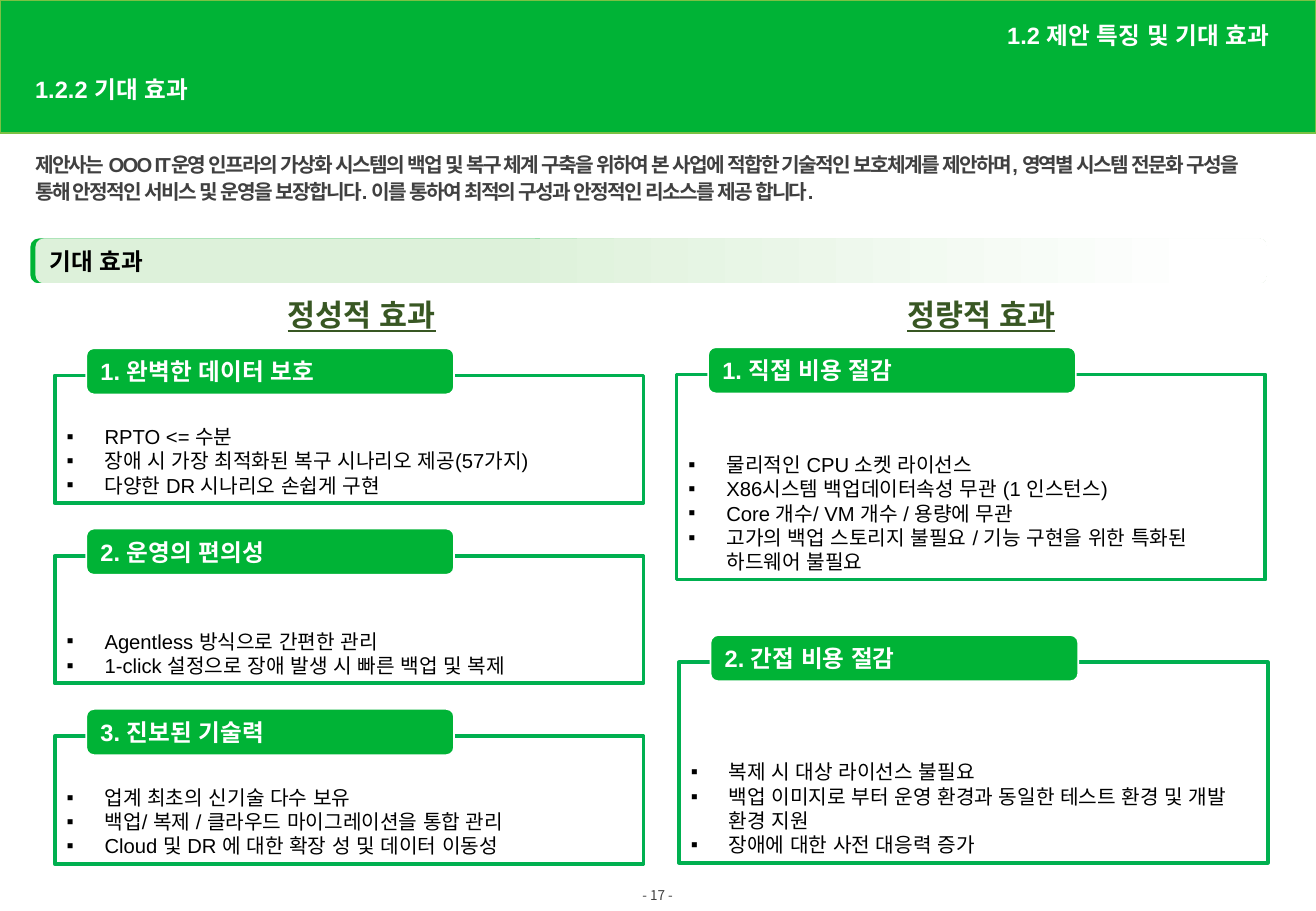
from lxml.etree import SubElement
from pptx import Presentation
from pptx.dml.color import RGBColor
from pptx.enum.shapes import MSO_SHAPE
from pptx.enum.text import MSO_ANCHOR, MSO_AUTO_SIZE, PP_ALIGN
from pptx.oxml.ns import qn
from pptx.util import Pt

GREEN = RGBColor(0x00, 0xB3, 0x36)
BOX_GREEN = RGBColor(0x00, 0xB0, 0x50)
BAND_EDGE = RGBColor(0x7B, 0xC1, 0x44)
DARK_GREEN = RGBColor(0x38, 0x57, 0x23)
PALE_GREEN = RGBColor(0xDD, 0xF1, 0xDA)
GRAY = RGBColor(0x40, 0x40, 0x40)
BLACK = RGBColor(0, 0, 0)
WHITE = RGBColor(0xFF, 0xFF, 0xFF)

LATIN, KOREAN = "Arial", "Noto Sans CJK KR"
BOX_W, BOX_H = 349, 75.6
LEFT_X, LEFT_Y, LEFT_PITCH = 32.4, 222.6, 106.9

LEFT_CARDS = [
    ("1. 완벽한 데이터 보호",
     ["RPTO <= 수분", "장애 시 가장 최적화된 복구 시나리오 제공(57가지)",
      "다양한 DR 시나리오 손쉽게 구현"]),
    ("2. 운영의 편의성",
     ["Agentless 방식으로 간편한 관리",
      "1-click 설정으로 장애 발생 시 빠른 백업 및 복제"]),
    ("3. 진보된 기술력",
     ["업계 최초의 신기술 다수 보유",
      "백업/ 복제 / 클라우드 마이그레이션을 통합 관리",
      "Cloud 및 DR 에 대한 확장 성 및 데이터 이동성"]),
]
RIGHT_CARDS = [
    (401, 222, 121.6, "1. 직접 비용 절감",
     ["물리적인 CPU 소켓 라이선스", "X86시스템 백업데이터속성 무관 (1 인스턴스)",
      "Core 개수/ VM 개수 / 용량에 무관",
      "고가의 백업 스토리지 불필요 / 기능 구현을 위한 특화된 하드웨어 불필요"]),
    (402.4, 392.6, 118.8, "2. 간접 비용 절감",
     ["복제 시 대상 라이선스 불필요",
      "백업 이미지로 부터 운영 환경과 동일한 테스트 환경 및 개발 환경 지원",
      "장애에 대한 사전 대응력 증가"]),
]
INTRO = ("제안사는 OOO IT운영 인프라의 가상화 시스템의 백업 및 복구 체계 구축을 위하여 "
         "본 사업에 적합한 기술적인 보호체계를 제안하며, 영역별 시스템 전문화 구성을 통해 "
         "안정적인 서비스 및 운영을 보장합니다. 이를 통하여 최적의 구성과 안정적인 리소스를 "
         "제공 합니다.")


def format_run(r, size, color, bold=True, latin=LATIN):
    r.font.name = latin
    r.font.size = Pt(size)
    r.font.bold = bold
    r.font.color.rgb = color
    rPr = r.font._element if hasattr(r.font, "_element") else r._r.get_or_add_rPr()
    rPr.set("lang", "ko-KR")
    ea = SubElement(rPr, qn("a:ea"))
    ea.set("typeface", KOREAN)


def set_text(sp, text, size, color, align=PP_ALIGN.LEFT, anchor=MSO_ANCHOR.MIDDLE):
    """Put one bold line in a shape and return its paragraph."""
    tf = sp.text_frame
    tf.text = text
    tf.word_wrap = True
    tf.vertical_anchor = anchor
    p = tf.paragraphs[0]
    p.alignment = align
    format_run(p.runs[0], size, color)
    return p


def fill_placeholder(sp, box, text, size, color, **options):
    sp.left, sp.top, sp.width, sp.height = map(Pt, box)
    p = set_text(sp, text, size, color, **options)
    sp.text_frame.auto_size = MSO_AUTO_SIZE.NONE
    pPr = p._p.get_or_add_pPr()
    pPr.set("marL", "0")
    pPr.set("indent", "0")
    SubElement(pPr, qn("a:buNone"))
    p.space_before = Pt(0)
    p.line_spacing = 0.9
    return p


def add_box(s, kind, box, fill=None, line=None, width=1):
    sp = s.shapes.add_shape(kind, *map(Pt, box))
    sp.shadow.inherit = False
    if fill is None:
        sp.fill.background()
    else:
        sp.fill.solid()
        sp.fill.fore_color.rgb = fill
    if line is None:
        sp.line.fill.background()
    else:
        sp.line.color.rgb = line
        sp.line.width = Pt(width)
    return sp


def add_bullets(sp, items):
    tf = sp.text_frame
    tf.text = "\n".join(items)
    tf.word_wrap = True
    tf.vertical_anchor = MSO_ANCHOR.BOTTOM
    for p in tf.paragraphs:
        p.alignment = PP_ALIGN.LEFT
        pPr = p._p.get_or_add_pPr()
        pPr.set("marL", str(Pt(22.5)))
        pPr.set("indent", str(-Pt(22.5)))
        SubElement(pPr, qn("a:buFont")).set("typeface", LATIN)
        SubElement(pPr, qn("a:buChar")).set("char", "▪")
        format_run(p.runs[0], 12, BLACK, bold=False)


def add_card(s, x, y, height, heading, items):
    """Outlined bullet box with a heading tab over its top edge."""
    frame = add_box(s, MSO_SHAPE.RECTANGLE, (x, y, BOX_W, height),
                    line=BOX_GREEN, width=2.25)
    add_bullets(frame, items)
    tab = add_box(s, MSO_SHAPE.ROUNDED_RECTANGLE, (x + 18.7, y - 16.2, 218, 27.4),
                  GREEN, WHITE)
    set_text(tab, heading, 14, WHITE)


def add_column_title(s, x, text):
    sp = s.shapes.add_textbox(Pt(x), Pt(172), Pt(111.6), Pt(28.8))
    p = set_text(sp, text, 18, DARK_GREEN, anchor=MSO_ANCHOR.TOP)
    sp.text_frame.word_wrap = False
    p.runs[0].font.underline = True


def add_section_bar(s, text):
    bar = add_box(s, MSO_SHAPE.ROUNDED_RECTANGLE, (21, 141.4, 730, 26.6))
    bar.adjustments[0] = 0.185
    bar.fill.gradient()
    bar.fill.gradient_angle = 0
    stops = ((0.38, PALE_GREEN), (0.95, WHITE))
    for stop, (position, color) in zip(bar.fill.gradient_stops, stops):
        stop.position = position
        stop.color.rgb = color
    effects = bar._element.spPr.find(qn("a:effectLst"))
    shadow = SubElement(effects, qn("a:outerShdw"), blurRad="0", dist=str(Pt(3)),
                        dir="10800000", algn="r", rotWithShape="0")
    SubElement(shadow, qn("a:srgbClr"), val=str(GREEN))
    set_text(bar, text, 14, BLACK)


def add_page_number(s, text):
    sp = s.shapes.add_textbox(Pt(368.6), Pt(526), Pt(42.5), Pt(10))
    p = sp.text_frame.paragraphs[0]
    tf = sp.text_frame
    tf.margin_left = tf.margin_right = tf.margin_top = tf.margin_bottom = 0
    p.text = text
    p.alignment = PP_ALIGN.CENTER
    format_run(p.runs[0], 8, GRAY, bold=False, latin=KOREAN)


def main():
    prs = Presentation()
    prs.slide_width, prs.slide_height = Pt(780), Pt(540)
    s = prs.slides.add_slide(prs.slide_layouts[3])
    title, intro, chapter = s.placeholders

    band = add_box(s, MSO_SHAPE.RECTANGLE, (0, 0, 780, 79), GREEN, BAND_EDGE)
    title._element.addprevious(band._element)

    fill_placeholder(title, (13.6, 42.4, 461, 22.4), "1.2.2 기대 효과", 14, WHITE)
    p = fill_placeholder(intro, (13.6, 85, 745, 46.8), INTRO, 12, GRAY,
                         anchor=MSO_ANCHOR.TOP)
    p.line_spacing = Pt(16)
    p.runs[0]._r.get_or_add_rPr().set("spc", "-100")
    fill_placeholder(chapter, (414, 8, 345.6, 28), "1.2 제안 특징 및 기대 효과",
                     14, WHITE, align=PP_ALIGN.RIGHT)

    for i, (heading, items) in enumerate(LEFT_CARDS):
        add_card(s, LEFT_X, LEFT_Y + i * LEFT_PITCH, BOX_H, heading, items)
    for card in RIGHT_CARDS:
        add_card(s, *card)
    add_column_title(s, 163.4, "정성적 효과")
    add_column_title(s, 530.6, "정량적 효과")
    add_section_bar(s, "기대 효과")
    add_page_number(s, "- 17 -")
    prs.save("out.pptx")


if __name__ == "__main__":
    main()
